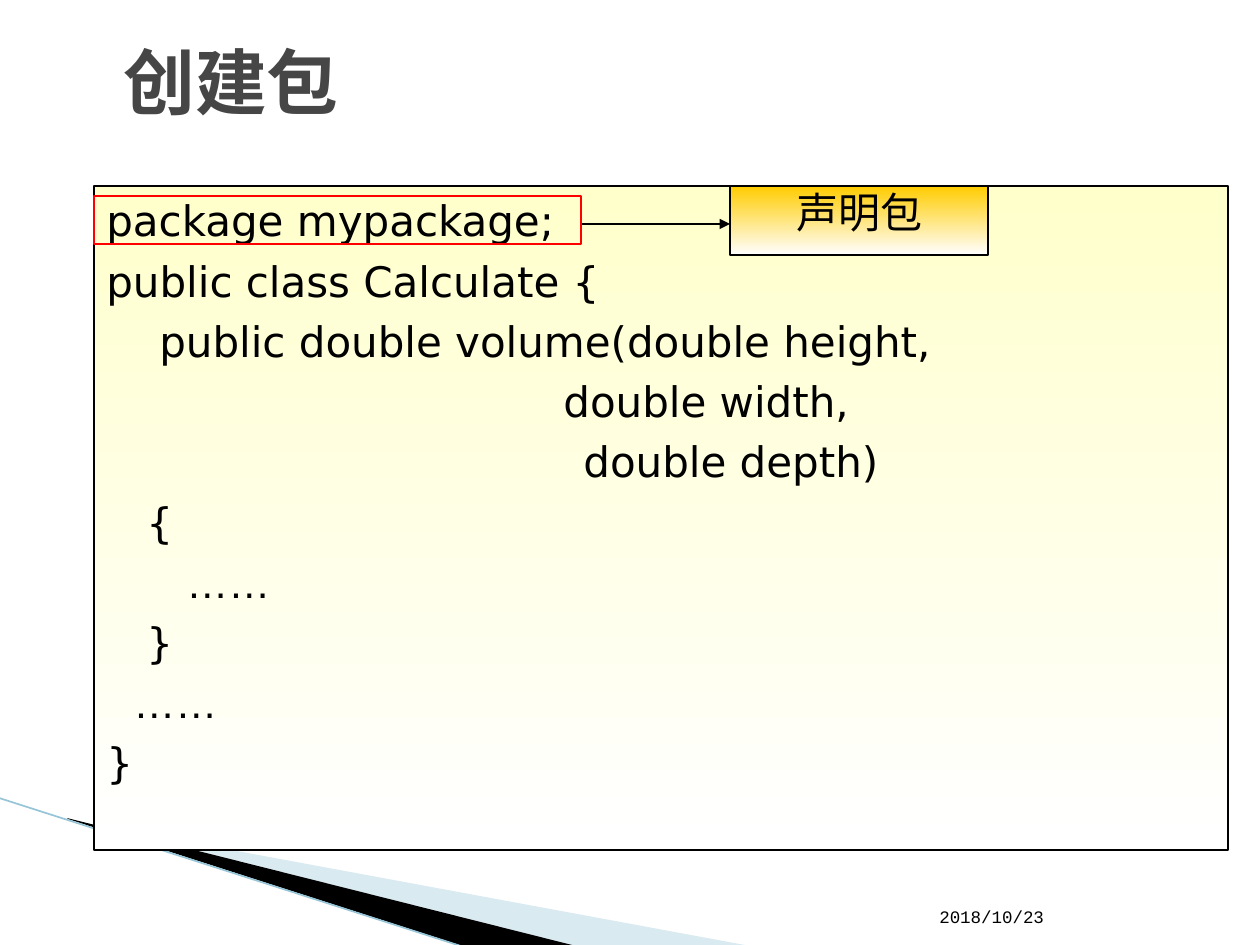
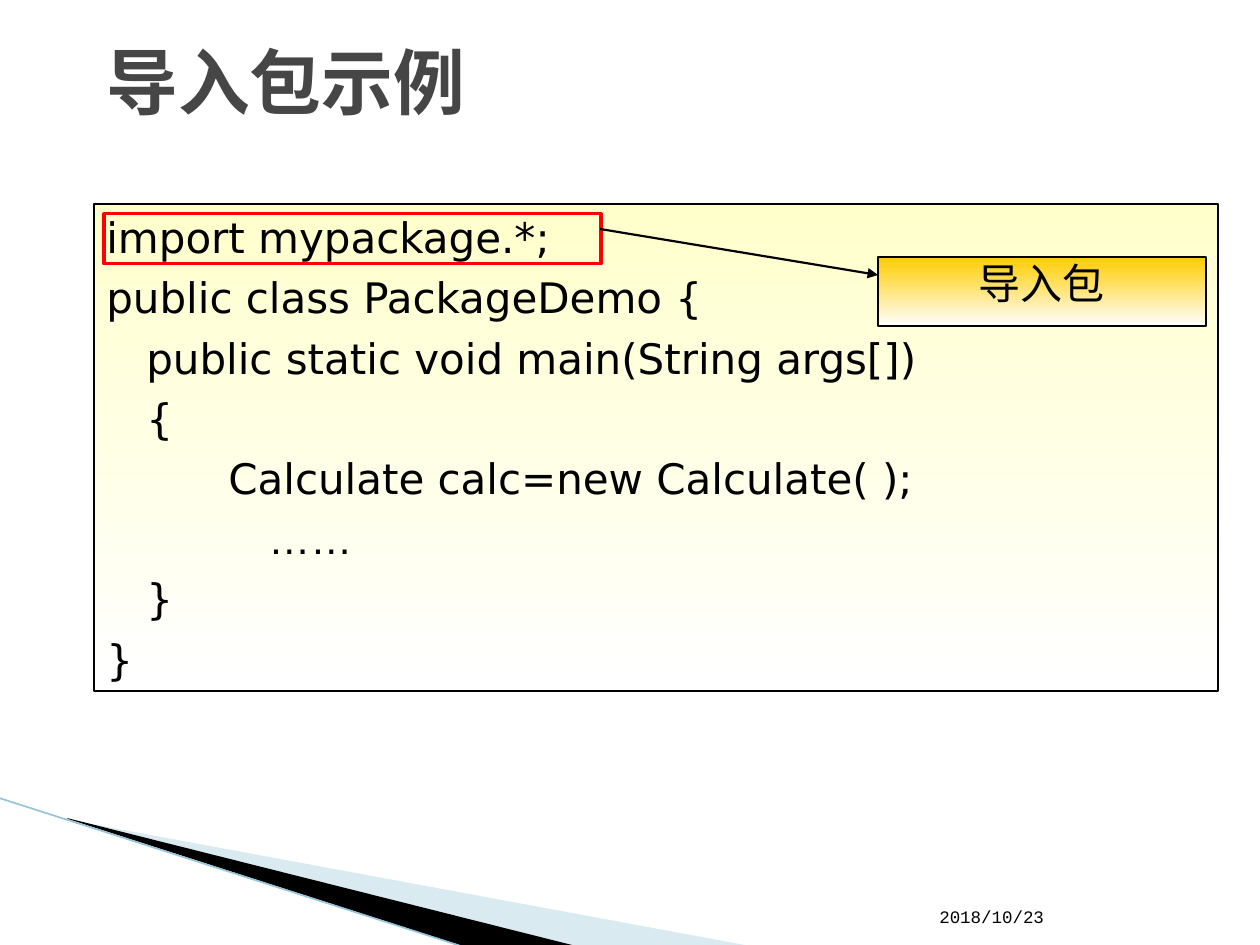
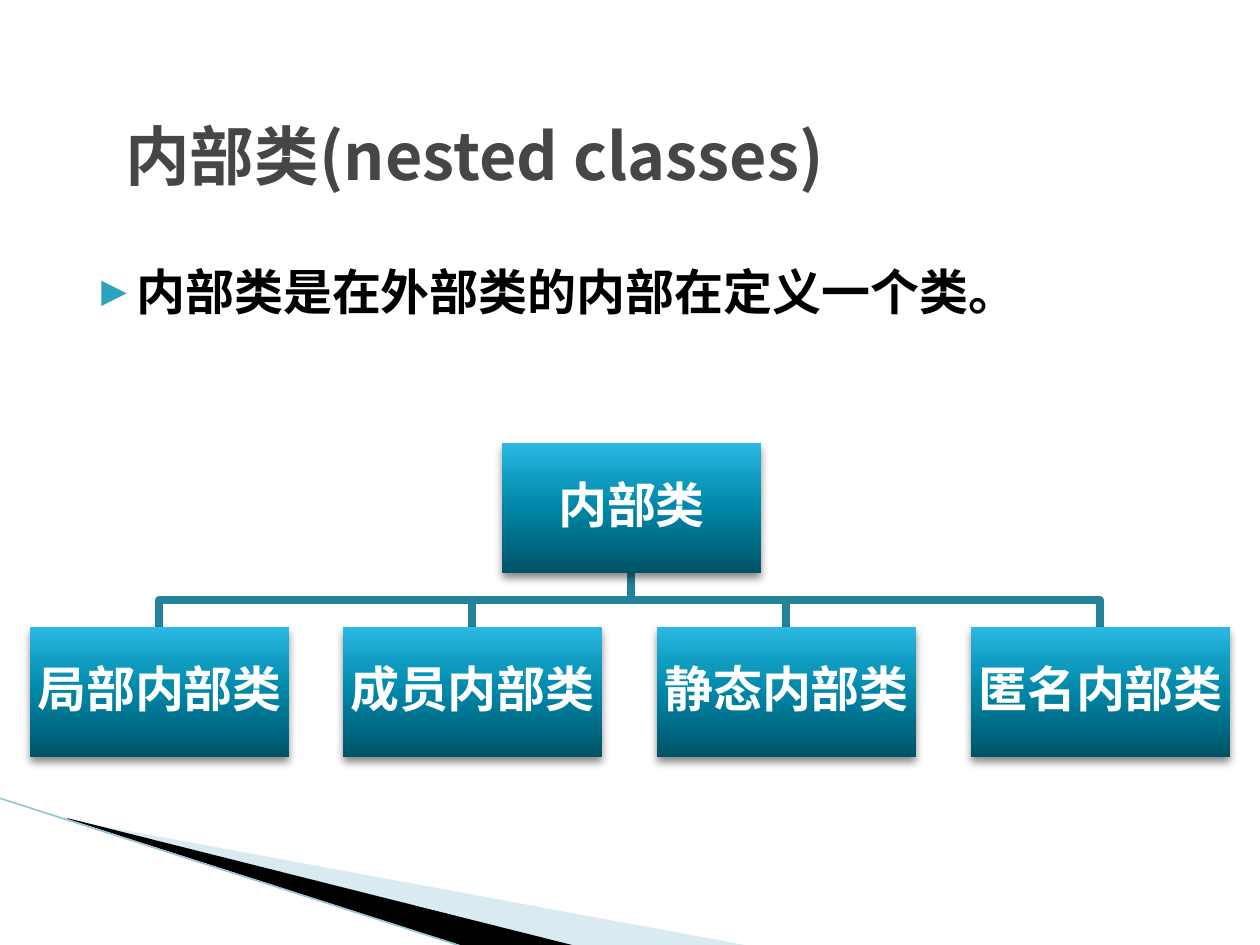
from lxml import etree
from pptx import Presentation
from pptx.dml.color import RGBColor
from pptx.enum.shapes import MSO_CONNECTOR, MSO_SHAPE
from pptx.enum.text import MSO_ANCHOR, PP_ALIGN
from pptx.oxml.ns import qn
from pptx.util import Emu, Pt

UNIT = 914400 / 126
RECT = MSO_SHAPE.RECTANGLE
LINE = MSO_CONNECTOR.STRAIGHT
TOP, MID, LOW = MSO_ANCHOR.TOP, MSO_ANCHOR.MIDDLE, MSO_ANCHOR.BOTTOM
LEFT, MIDST = PP_ALIGN.LEFT, PP_ALIGN.CENTER

BLACK = RGBColor(0x00, 0x00, 0x00)
WHITE = RGBColor(0xFF, 0xFF, 0xFF)
GREY = RGBColor(0x46, 0x46, 0x46)
RED = RGBColor(0xFF, 0x00, 0x00)
CREAM = RGBColor(0xFF, 0xFF, 0xCC)
GOLD = RGBColor(0xFF, 0xCC, 0x00)
PALE = RGBColor(0xA0, 0xCB, 0xDC)
EDGE = RGBColor(0x97, 0xC5, 0xD8)
BULLET = RGBColor(0x2D, 0xA2, 0xBF)
TEAL = RGBColor(0x24, 0x82, 0x99)
SKY = RGBColor(0x2C, 0xB9, 0xE3)
AZURE = RGBColor(0x0E, 0x9A, 0xBE)
OCEAN = RGBColor(0x00, 0x86, 0xA7)
DEEP = RGBColor(0x00, 0x53, 0x67)

MONO, SANS, HAN, DOTS = "Courier New", "DejaVu Sans", "Noto Sans CJK SC", "Arial"
CREAMY = [(0, CREAM), (100, WHITE)]
GOLDEN = [(0, GOLD), (100, WHITE)]
BLUES = [(0, SKY), (30, AZURE), (50, OCEAN), (100, DEEP)]

CREATE = [
    (0, "package mypackage;"),
    (0, "public class Calculate {"),
    (53, "public double volume(double height,"),
    (457, "double width,"),
    (477, "double depth)"),
    (40, "{"),
    (80, "……"),
    (40, "}"),
    (27, "……"),
    (0, "}"),
]
IMPORT = [
    (0, "import mypackage.*;"),
    (0, "public class PackageDemo {"),
    (40, "public static void main(String args[])"),
    (40, "{"),
    (122, "Calculate calc=new Calculate( );"),
    (162, "……"),
    (40, "}"),
    (0, "}"),
]
KINDS = ["局部内部类", "成员内部类", "静态内部类", "匿名内部类"]


def px(num):
    """Turn px into EMU."""
    return Emu(round(num * UNIT))


def sub(node, tag, **attrs):
    """Append an XML child with attributes."""
    child = etree.SubElement(node, qn(tag))
    for key, val in attrs.items():
        child.set(key, str(val))
    return child


def write(par, text, size, font, color, bold=False, east=None, align=LEFT):
    """Fill a paragraph and set its font."""
    par.text = text
    par.alignment = align
    face = par.font
    face.size, face.name, face.bold = Pt(size), font, bold
    face.color.rgb = color
    base = par._p.get_or_add_pPr().find(qn("a:defRPr"))
    sub(base, "a:ea", typeface=east or font)


def blend(shape, stops):
    """Fill a shape with a gradient from top to bottom."""
    shape.fill.gradient()
    shape.fill.gradient_angle = 270
    held = shape.element.spPr.find(qn("a:gradFill")).find(qn("a:gsLst"))
    for old in list(held):
        held.remove(old)
    for pos, color in stops:
        stop = sub(held, "a:gs", pos=pos * 1000)
        sub(stop, "a:srgbClr", val=color)


def rect(slide, box, stops=None, color=None, width=1):
    """Draw a rectangle with optional gradient and outline."""
    shape = slide.shapes.add_shape(RECT, *map(px, box))
    shape.shadow.inherit = False
    if stops:
        blend(shape, stops)
    else:
        shape.fill.background()
    if color is None:
        shape.line.fill.background()
    else:
        shape.line.color.rgb = color
        shape.line.width = Pt(width)
    return shape


def area(slide, box, anchor=TOP):
    """Add a wrapping text box and return its frame."""
    frame = slide.shapes.add_textbox(*map(px, box)).text_frame
    frame.word_wrap = True
    frame.vertical_anchor = anchor
    return frame


def outline(slide, dots, close=True):
    """Draw a freeform through the given points."""
    maker = slide.shapes.build_freeform(*dots[0], scale=UNIT)
    maker.add_line_segments(dots[1:], close=close)
    shape = maker.convert_to_shape()
    shape.shadow.inherit = False
    return shape


def link(slide, ends, color, width, arrow=False):
    """Draw a straight line, with an arrowhead if asked."""
    line = slide.shapes.add_connector(LINE, *map(px, ends))
    line.line.color.rgb = color
    line.line.width = Pt(width)
    if arrow:
        sub(line.line._get_or_add_ln(), "a:tailEnd", type="triangle")
    sub(line.element.spPr, "a:effectLst")


def swoosh(slide):
    """Draw the shared corner bands."""
    light = outline(slide, [(69, 820), (750, 946), (575, 946), (69, 819)])
    dark = outline(slide, [(67, 818), (576, 946), (469, 948), (68, 819)])
    for shape, color in (light, PALE), (dark, BLACK):
        shape.fill.solid()
        shape.fill.fore_color.rgb = color
        shape.line.fill.background()
    tint = light.element.spPr.find(qn("a:solidFill"))[0]
    sub(tint, "a:alpha", val=40000)
    link(slide, (-1, 798, 467, 948), EDGE, 0.95)


def start(deck, text, box, size=41, font=MONO):
    """Add a slide with its bands and title."""
    slide = deck.slides.add_slide(deck.slide_layouts[6])
    swoosh(slide)
    frame = area(slide, box, MID)
    write(frame.paragraphs[0], text, size, font, GREY, True, HAN)
    return slide


def date(slide):
    """Add the date in the footer."""
    frame = area(slide, (927, 883, 265, 50), LOW)
    write(frame.paragraphs[0], "2018/10/23", 10, MONO, BLACK)


def code(slide, box, lines, foot=6):
    """Add a code panel with indented lines."""
    frame = rect(slide, box, CREAMY, BLACK).text_frame
    frame.word_wrap = True
    frame.vertical_anchor = MID
    frame.margin_bottom = px(foot)
    for num, (indent, text) in enumerate(lines):
        par = frame.add_paragraph() if num else frame.paragraphs[0]
        write(par, text, 24, DOTS if text == "……" else SANS, BLACK)
        par.space_before = Pt(5.6)
        par._p.get_or_add_pPr().set("marL", str(px(indent)))


def label(slide, box, text):
    """Add a golden callout."""
    frame = rect(slide, box, GOLDEN, BLACK, 0.75).text_frame
    frame.vertical_anchor = TOP
    par = frame.paragraphs[0]
    write(par, text, 24, MONO, BLACK, align=MIDST)
    par.line_spacing = 0.9
    par.space_before = Pt(5)


def point(slide, box, text):
    """Add a bulleted statement."""
    par = area(slide, box).paragraphs[0]
    write(par, text, 28, MONO, BLACK, True)
    par.space_before = Pt(4)
    props = par._p.get_or_add_pPr()
    props.set("marL", str(px(50)))
    props.set("indent", str(px(-35)))
    base = props.find(qn("a:defRPr"))
    props.remove(base)
    sub(sub(props, "a:buClr"), "a:srgbClr", val=BULLET)
    sub(props, "a:buSzPct", val=68000)
    sub(props, "a:buFont", typeface=SANS)
    sub(props, "a:buChar", char="▶")
    props.append(base)


def tile(slide, left, top, text):
    """Add one shaded box of the tree."""
    shape = rect(slide, (left, top, 259, 130), BLUES)
    glow = shape.element.spPr.find(qn("a:effectLst"))
    shade = sub(glow, "a:outerShdw", blurRad=Pt(5), dist=Pt(3), dir=5400000, rotWithShape=0)
    sub(sub(shade, "a:srgbClr", val=BLACK), "a:alpha", val=45000)
    frame = shape.text_frame
    frame.word_wrap = True
    frame.vertical_anchor = MID
    frame.margin_left = frame.margin_right = px(3)
    frame.margin_top = frame.margin_bottom = px(3)
    par = frame.paragraphs[0]
    write(par, text, 28, MONO, WHITE, True, HAN, MIDST)
    par.line_spacing = 0.9


def tree(slide, root, kinds):
    """Draw a root box, its branches and its leaves."""
    lefts = [30 + 941 * num // 3 for num in range(len(kinds))]
    for left in lefts:
        mid = left + 129
        branch = outline(slide, [(631, 572), (631, 600), (mid, 600), (mid, 627)], False)
        branch.fill.background()
        branch.line.color.rgb = TEAL
        branch.line.width = Pt(4.33)
    tile(slide, 502, 443, root)
    for left, kind in zip(lefts, kinds):
        tile(slide, left, 627, kind)


def main():
    """Build and save the three slides."""
    deck = Presentation()
    deck.slide_width, deck.slide_height = px(1260), px(945)

    slide = start(deck, "创建包", (111, 26, 1134, 110))
    date(slide)
    code(slide, (94, 186, 1134, 664), CREATE, 60)
    link(slide, (581, 224, 730, 224), BLACK, 1.5, True)
    rect(slide, (94, 196, 487, 48), color=RED, width=1.5)
    label(slide, (730, 186, 258, 69), "声明包")

    slide = start(deck, "导入包示例", (94, 26, 1134, 110))
    date(slide)
    code(slide, (94, 204, 1124, 487), IMPORT)
    rect(slide, (104, 214, 497, 50), color=RED, width=1.75)
    link(slide, (600, 229, 878, 275), BLACK, 1.25, True)
    label(slide, (878, 257, 328, 69), "导入包")

    slide = start(deck, "内部类(nested classes)", (113, 115, 1071, 79), 36.9, HAN)
    point(slide, (74, 255, 1121, 586), "内部类是在外部类的内部在定义一个类。")
    tree(slide, "内部类", KINDS)

    deck.save("out.pptx")


if __name__ == "__main__":
    main()
